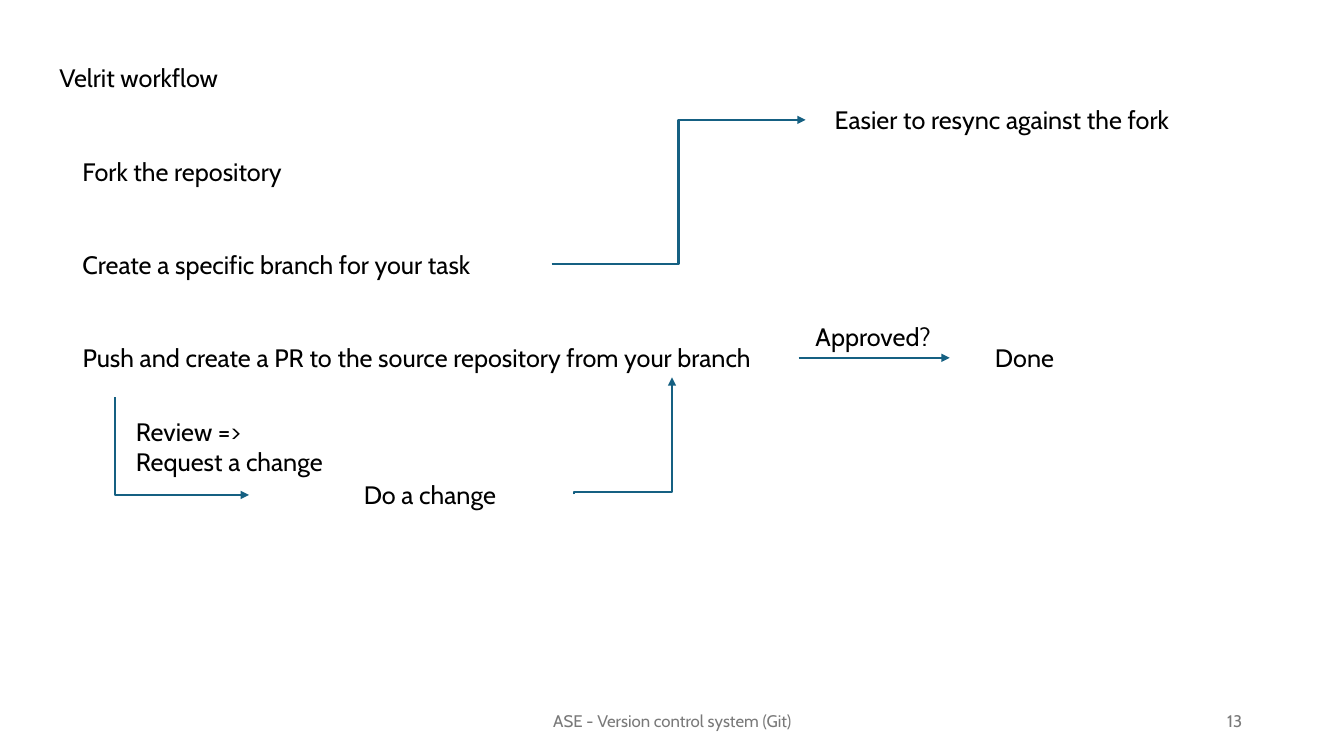
from lxml.etree import SubElement as Sub
from pptx import Presentation
from pptx.dml.color import RGBColor as RGB
from pptx.enum.shapes import MSO_CONNECTOR as Conn
from pptx.enum.text import MSO_ANCHOR as Anchor, MSO_AUTO_SIZE as Fit, PP_ALIGN as Align
from pptx.oxml.ns import qn
from pptx.util import Inches, Pt


def paint(color, code):
    """Set a colour from a hex string."""
    color.rgb = RGB.from_string(code)


def write(slide, text, left, top, width, height=0.4, size=18, code="000000", align=Align.LEFT):
    """Add a text box and return its frame."""
    box = slide.shapes.add_textbox(*map(Inches, (left, top, width, height)))
    frame = box.text_frame
    para = frame.paragraphs[0]
    para.text = text
    para.alignment = align
    para.font.name = "Cabin"
    para.font.size = Pt(size)
    paint(para.font.color, code)
    return frame


def label(slide, *args):
    """Add a one-size label that fits its text."""
    frame = write(slide, *args)
    frame.word_wrap = False
    frame.auto_size = Fit.SHAPE_TO_FIT_TEXT


def footer(slide, text, left, width, align):
    """Add a grey footer text."""
    frame = write(slide, text, left, 6.95, width, 0.4, 12, "797979", align)
    frame.word_wrap = True
    frame.vertical_anchor = Anchor.MIDDLE


def arrow(slide, kind, start, end, bend=None, turn=0):
    """Add an arrow with an optional bend ratio and turn in degrees."""
    link = slide.shapes.add_connector(kind, *map(Inches, start + end))
    paint(link.line.color, "156082")
    link.line.width = Pt(1.5)
    Sub(link.line._get_or_add_ln(), qn("a:tailEnd"), type="triangle")
    props = link._element.spPr
    Sub(props, qn("a:effectLst"))
    if bend is not None:
        guides = props.find(qn("a:prstGeom")).get_or_add_avLst()
        Sub(guides, qn("a:gd"), name="adj1", fmla=f"val {round(bend * 100000)}")
    if turn:
        props.find(qn("a:xfrm")).set("rot", str(turn * 60000))


def main():
    """Build the workflow slide."""
    deck = Presentation()
    deck.slide_width, deck.slide_height = Inches(13.33), Inches(7.5)
    slide = deck.slides.add_slide(deck.slide_layouts[6])

    footer(slide, "ASE - Version control system (Git)", 4.42, 4.5, Align.CENTER)
    footer(slide, "13", 9.42, 3, Align.RIGHT)

    label(slide, "Velrit workflow", 0.49, 0.57, 1.98)
    steps = [
        ("Fork the repository", 2.23),
        ("Create a specific branch for your task", 4.23),
        ("Push and create a PR to the source repository from your branch", 7.01),
    ]
    for row, (text, width) in enumerate(steps):
        label(slide, text, 0.72, 1.5 + row * 0.925, width)

    arrow(slide, Conn.STRAIGHT, (7.92, 3.55), (9.42, 3.55))
    label(slide, "Done", 9.77, 3.35, 0.79)
    label(slide, "Approved?", 7.99, 3.14, 1.36)

    arrow(slide, Conn.ELBOW, (1.14, 3.94), (2.47, 4.91), bend=0)
    label(slide, "Review =>\nRequest a change", 1.25, 4.08, 2.14, 0.71)

    label(slide, "Do a change", 3.51, 4.71, 1.55)
    arrow(slide, Conn.ELBOW, (6.76, 4.81), (5.6, 3.84), bend=0.02, turn=90)

    arrow(slide, Conn.ELBOW, (5.47, 2.62), (7.99, 1.19))
    label(slide, "Easier to resync against the fork", 8.18, 0.99, 3.63)

    deck.save("out.pptx")


if __name__ == "__main__":
    main()
